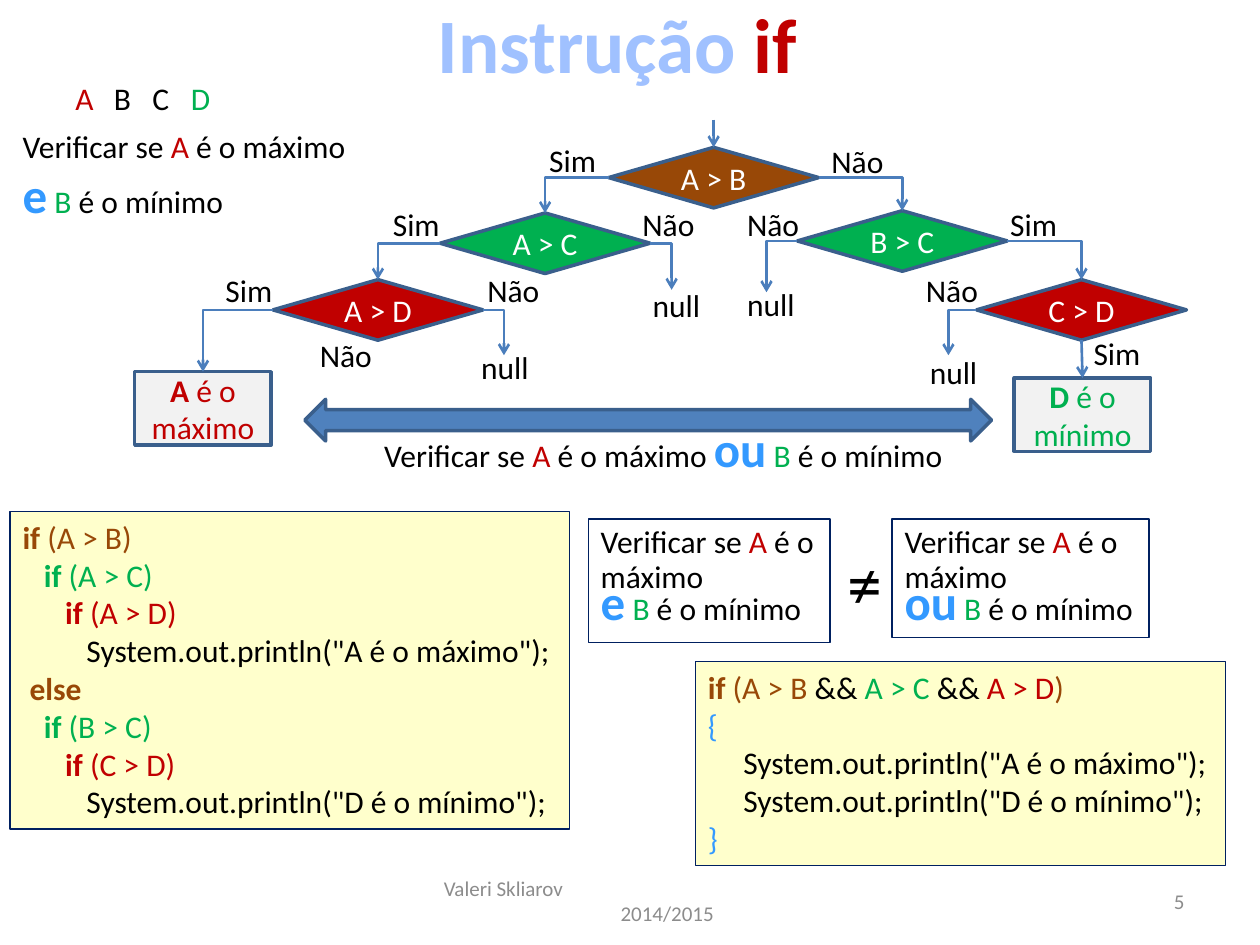
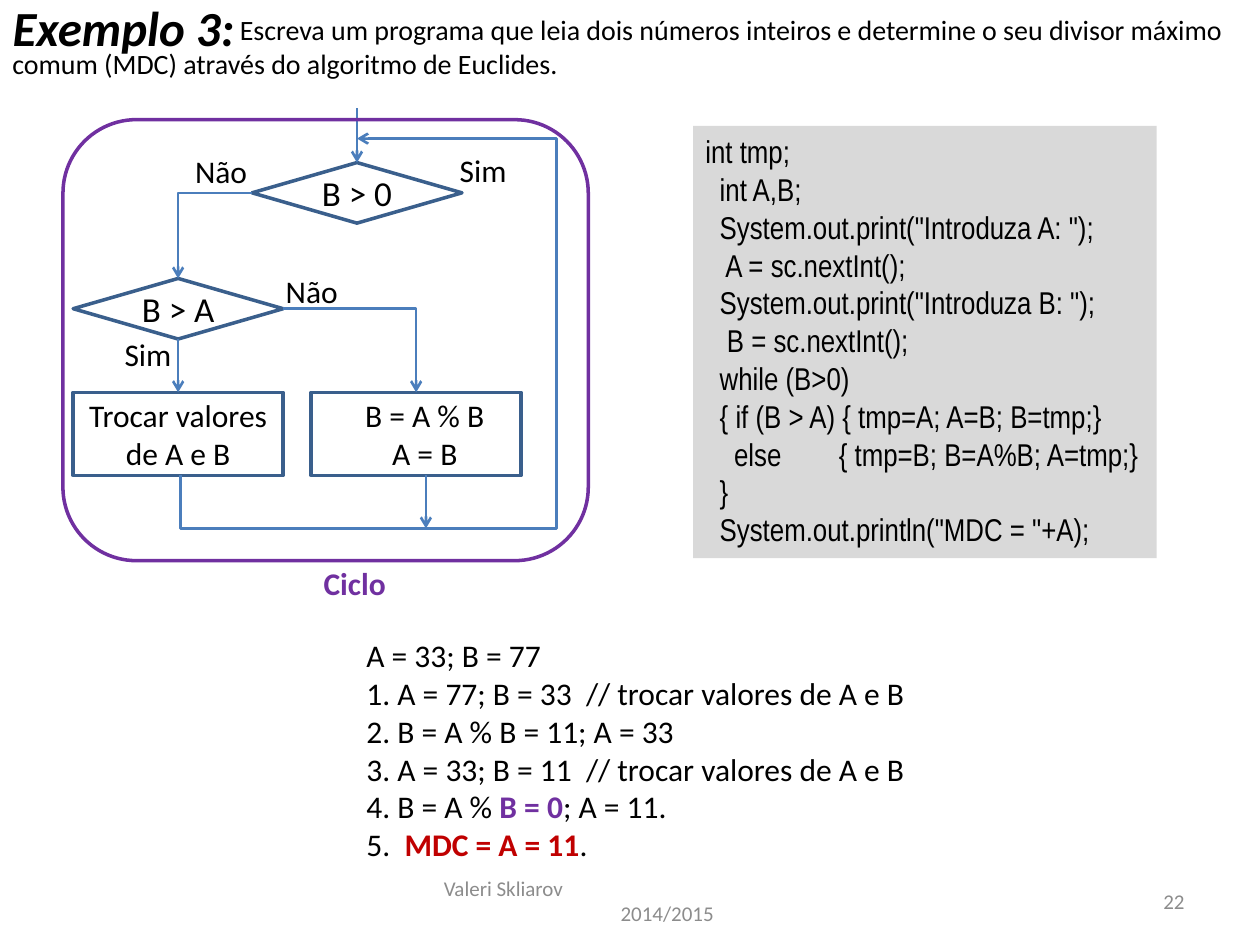
"""Builds two lecture slides on the if instruction and Euclid's algorithm."""
from lxml import etree
from pptx import Presentation
from pptx.dml.color import RGBColor
from pptx.enum.shapes import MSO_CONNECTOR, MSO_SHAPE
from pptx.enum.text import MSO_ANCHOR, MSO_AUTO_SIZE, PP_ALIGN
from pptx.oxml.ns import qn
from pptx.util import Pt

LEFT, CENTER, RIGHT = PP_ALIGN.LEFT, PP_ALIGN.CENTER, PP_ALIGN.RIGHT
TOP, MIDDLE = MSO_ANCHOR.TOP, MSO_ANCHOR.MIDDLE
STRAIGHT, ELBOW = MSO_CONNECTOR.STRAIGHT, MSO_CONNECTOR.ELBOW
RECT, DECISION = MSO_SHAPE.RECTANGLE, MSO_SHAPE.FLOWCHART_DECISION
ROUNDED, DOUBLE_ARROW = MSO_SHAPE.ROUNDED_RECTANGLE, MSO_SHAPE.LEFT_RIGHT_ARROW

BLACK, WHITE, GRAY, NAVY = "000000", "FFFFFF", "8C8C8C", "002060"
RED, GREEN, BROWN, SKY, PURPLE = "C00000", "00B050", "984807", "3399FF", "7030A0"
PALE_BLUE, ARROW_FILL, EDGE, WIRE = "A0C1FF", "4F81BD", "3A5F8C", "4B7EBC"
CREAM, PALE_GRAY, CODE_GRAY = "FFFFCC", "F2F2F2", "D9D9D9"
BOLD = {"bold": True}
BIG = {"bold": True, "size": Pt(28)}


def place(page, kind, bounds, paras=(), fill=None, line=None, weight=2, size=18,
          font="Calibri", align=LEFT, anchor=TOP, wrap=False, spacing=None,
          inset=7.2, indents=None, tabs=()):
    """Add a text box, a preset shape or the title, with its text."""
    bounds = [Pt(value) for value in bounds]
    if kind == "title":
        box = page.shapes.title
        box.left, box.top, box.width, box.height = bounds
    elif kind is None:
        box = page.shapes.add_textbox(*bounds)
    else:
        box = page.shapes.add_shape(kind, *bounds)
        box.shadow.inherit = False
        if fill:
            box.fill.solid()
            box.fill.fore_color.rgb = RGBColor.from_string(fill)
        else:
            box.fill.background()
        if line:
            box.line.color.rgb = RGBColor.from_string(line)
            box.line.width = Pt(weight)
        else:
            box.line.fill.background()
    frame = box.text_frame
    layout = {"auto_size": MSO_AUTO_SIZE.NONE, "word_wrap": wrap,
              "vertical_anchor": anchor, "margin_left": Pt(inset)}
    for name, value in layout.items():
        setattr(frame, name, value)
    for index, spans in enumerate(paras):
        para = frame.add_paragraph() if index else frame.paragraphs[0]
        para.alignment = align
        if spacing:
            para.line_spacing = Pt(spacing)
        settings = para._p.get_or_add_pPr()
        for name, value in (indents or {}).get(index, {}).items():
            settings.set(name, str(Pt(value)))
        if tabs:
            stops = etree.SubElement(settings, qn("a:tabLst"))
            for stop in tabs:
                etree.SubElement(stops, qn("a:tab"), pos=str(Pt(stop)), algn="l")
        for text, color, *extra in spans:
            span = para.add_run()
            span.text = text
            span.font.color.rgb = RGBColor.from_string(color)
            look = {"name": font, "size": Pt(size), "bold": False}
            for name, value in (look | (extra[0] if extra else {})).items():
                setattr(span.font, name, value)
    return box


def style_arrow(stroke):
    """Give a connector or open outline the flowchart arrow look."""
    stroke.line.color.rgb = RGBColor.from_string(WIRE)
    stroke.line.width = Pt(1.5)
    etree.SubElement(stroke.line._get_or_add_ln(), qn("a:tailEnd"), type="arrow")
    etree.SubElement(stroke._element.spPr, qn("a:effectLst"))


deck = Presentation()
deck.slide_width, deck.slide_height = Pt(720), Pt(540)
if_page, euclid_page = [deck.slides.add_slide(deck.slide_layouts[5]) for _ in range(2)]

for page, number in ((if_page, "5"), (euclid_page, "22")):
    place(page, None, (246.5, 500.4, 228, 28.8),
          [[("Valeri Skliarov", GRAY)], [("2014/2015", GRAY)]],
          size=12, anchor=MIDDLE, wrap=True, indents={1: {"marL": 101}})
    place(page, None, (516, 500.4, 168, 28.8), [[(number, GRAY)]],
          size=12, align=RIGHT, anchor=MIDDLE, wrap=True)

place(if_page, "title", (242, -5.8, 221.8, 60.5),
      [[("Instrução ", PALE_BLUE, BOLD), ("if", RED, BOLD)]], size=44, align=CENTER)
place(euclid_page, "title", (0, -5, 142.6, 41),
      [[("Exemplo 3:", BLACK, {"bold": True, "italic": True})]], size=28)

nodes = {}
decisions = [
    (if_page, "A > B", 347.8, 84.2, BROWN), (if_page, "A > C", 251.5, 121.7, GREEN),
    (if_page, "B > C", 455.6, 120.4, GREEN), (if_page, "A > D", 156, 159.8, RED),
    (if_page, "C > D", 558, 159.8, RED), (euclid_page, "B > 0", 144, 92.9, None),
    (euclid_page, "B > A", 41.8, 159.1, None),
]
for page, test, left, top, fill in decisions:
    nodes[test] = place(page, DECISION, (left, top, 120, 34.6),
                        [[(test, WHITE if fill else BLACK)]], fill, EDGE,
                        size=18 if fill else 20, align=CENTER, anchor=MIDDLE, wrap=True)

for letter, rest, left, top, color in (("A", " é o máximo", 77, 212.4, RED),
                                       ("D", " é o mínimo", 579.6, 216, GREEN)):
    nodes[letter] = place(if_page, RECT, (left, top, 78, 42),
                          [[(letter, color, BOLD), (rest, color)]], PALE_GRAY, EDGE,
                          align=CENTER, anchor=MIDDLE, wrap=True)

for name, left, lines, inset in (("swap", 41.8, ["Trocar valores de A e B"], 7.2),
                                 ("modulo", 177.8, ["B = A % B", "A = B"], 17)):
    nodes[name] = place(euclid_page, RECT, (left, 224.2, 120, 47.5),
                        [[(text, BLACK)] for text in lines], WHITE, EDGE,
                        align=CENTER, anchor=MIDDLE, wrap=True, inset=inset)

branches = [
    (if_page, "A > B", 0, 311.5, 121.7), (if_page, "A > B", 1, 515.6, 120.4),
    (if_page, "A > C", 0, 216, 159.8), (if_page, "A > C", 1, 383.8, 165.6),
    (if_page, "B > C", 0, 438, 167), (if_page, "B > C", 1, 618, 159.8),
    (if_page, "A > D", 0, 116, 212.4), (if_page, "A > D", 1, 288, 203),
    (if_page, "C > D", 0, 542, 203), (euclid_page, "B > 0", 0, 101.8, 159.1),
    (euclid_page, "B > A", 1, 237.8, 224.2),
]
for page, test, side, end_x, end_y in branches:
    node = nodes[test]
    branch = page.shapes.add_connector(
        ELBOW, node.left + side * node.width, node.top + node.height // 2,
        Pt(end_x), Pt(end_y))
    branch._element.spPr.find(qn("a:prstGeom")).set("prst", "bentConnector2")
    style_arrow(branch)

drops = [
    (if_page, (407.8, 68.4, 407.8, 84.2), None, "A > B"),
    (if_page, (618, 194.4, 618.6, 216), "C > D", "D"),
    (euclid_page, (204, 61.9, 204, 92.9), None, "B > 0"),
    (euclid_page, (101.8, 193.7, 101.8, 224.2), "B > A", "swap"),
    (euclid_page, (243.4, 271.7, 243.4, 302), None, None),
]
for page, ends, source, target in drops:
    drop = page.shapes.add_connector(STRAIGHT, *[Pt(value) for value in ends])
    if source:
        drop.begin_connect(nodes[source], 2)
    if target:
        drop.end_connect(nodes[target], 0)
    style_arrow(drop)

labels = [
    (if_page, "Sim", 41.8, [(306.7, 77), (217.4, 113.8), (121.7, 151.2),
                            (617.8, 187.2), (570.2, 113.8)]),
    (if_page, "Não", 44.6, [(468, 77.8), (271.4, 151.2), (419.8, 113.8),
                            (175.7, 188.6), (360, 113.8), (522, 151.2)]),
    (if_page, "null", 41.8, [(267.8, 195.1), (365.8, 159.8), (419.8, 159.1),
                             (524.2, 198)]),
    (euclid_page, "Sim", 41.8, [(64.1, 187.9), (255.6, 82.8)]),
    (euclid_page, "Não", 44.6, [(156.2, 151.9), (104.4, 83.5)]),
]
for page, word, width, spots in labels:
    for left, top in spots:
        place(page, None, (left, top, width, 28.8), [[(word, BLACK)]])

a_is_max = [("Verificar se ", BLACK), ("A", RED), (" é o máximo", BLACK)]
b_is_min = [(" ", BLACK), ("B", GREEN), (" é o mínimo", BLACK)]
both = [a_is_max, [("e", SKY, BIG)] + b_is_min]
either = [a_is_max, [("ou", SKY, BIG)] + b_is_min]
place(if_page, None, (36, 41.8, 100, 28.8),
      [[("A", RED), ("\tB\tC\t", BLACK), ("D", GREEN)]], wrap=True, tabs=(22, 44, 66))
place(if_page, None, (5.8, 69.1, 200.9, 63.4), both)
place(if_page, DOUBLE_ARROW, (174.2, 228.2, 392.4, 23.8), fill=ARROW_FILL, line=EDGE)
place(if_page, None, (212.4, 235.4, 353.5, 41),
      [a_is_max + [(" ", BLACK)] + either[1]], wrap=True)
for left, width, height, paras in ((336.2, 138.2, 70.6, both),
                                   (509.8, 146.9, 67.7, either)):
    place(if_page, RECT, (left, 296.6, width, height), paras, line=NAVY, weight=0.75,
          wrap=True, spacing=20)
place(if_page, None, (477.4, 304.6, 34.6, 55.4), [[("≠", BLACK)]], size=40)

print_max = 'System.out.println("A é o máximo");'
print_min = 'System.out.println("D é o mínimo");'
nested_code = [
    [("if", BROWN, BOLD), (" (A > B)", BROWN)],
    [("   if ", GREEN, BOLD), ("(A > C)", GREEN)],
    [("      if", RED, BOLD), (" (A > D)", RED)],
    [("         " + print_max, BLACK)],
    [(" else", BROWN, BOLD)],
    [("   if ", GREEN, BOLD), ("(B > C)", GREEN)],
    [("      if", RED, BOLD), (" (C > D)", RED)],
    [("         " + print_min, BLACK)],
]
joined_code = [
    [("if", BROWN, BOLD), (" (A > B ", BROWN), ("&& ", BLACK), ("A > C ", GREEN),
     ("&& ", BLACK), ("A > D", RED), (")", BROWN)],
    [("{", SKY)],
    [("     " + print_max, BLACK)],
    [("     " + print_min, BLACK)],
    [("}", SKY)],
]
for bounds, code in (((5.8, 292.3, 319.7, 181.4), nested_code),
                     ((397.4, 378, 303.1, 116.6), joined_code)):
    place(if_page, RECT, bounds, code, CREAM, NAVY, 0.75)

place(euclid_page, None, (0, 3.6, 720, 46),
      [[("Escreva um programa que leia dois números inteiros e determine o seu divisor "
         "máximo comum (MDC) através do algoritmo de Euclides.", BLACK)]],
      size=16, wrap=True, indents={0: {"indent": 130}})
euclid_code = [
    "int tmp;",
    "  int A,B;",
    '  System.out.print("Introduza A: ");',
    "   A = sc.nextInt();",
    '  System.out.print("Introduza B: ");',
    "   B = sc.nextInt();",
    "  while (B>0)",
    "  { if (B > A) { tmp=A; A=B; B=tmp;}",
    "    else        { tmp=B; B=A%B; A=tmp;}",
    "  }",
    '  System.out.println("MDC = "+A);',
]
place(euclid_page, RECT, (396, 72, 265, 247), [[(text, BLACK)] for text in euclid_code],
      CODE_GRAY, font="Arial Narrow")

outline = euclid_page.shapes.build_freeform(Pt(103), Pt(271.7), scale=1)
outline.add_line_segments([(Pt(x), Pt(y)) for x, y in (
    (103, 302), (318, 302), (318, 79.2), (204, 79.2))], close=False)
loop_back = outline.convert_to_shape()
loop_back.fill.background()
style_arrow(loop_back)
place(euclid_page, ROUNDED, (36, 68.4, 300.2, 252), line=PURPLE)
place(euclid_page, None, (177.8, 319, 49.7, 28.8), [[("Ciclo", PURPLE, BOLD)]])

place(euclid_page, None, (202.3, 360, 326.2, 138.2), [
    [("A = 33; B = 77", BLACK)],
    [("1. A = 77; B = 33  // trocar valores de A e B", BLACK)],
    [("2. B = A % B = 11; A = 33", BLACK)],
    [("3. A = 33; B = 11  // trocar valores de A e B", BLACK)],
    [("4. B = A % ", BLACK), ("B = 0", PURPLE, BOLD), ("; A = 11.", BLACK)],
    [("5.  ", BLACK), ("MDC = A = 11", RED, BOLD), (".", BLACK)],
])

deck.save("out.pptx")
